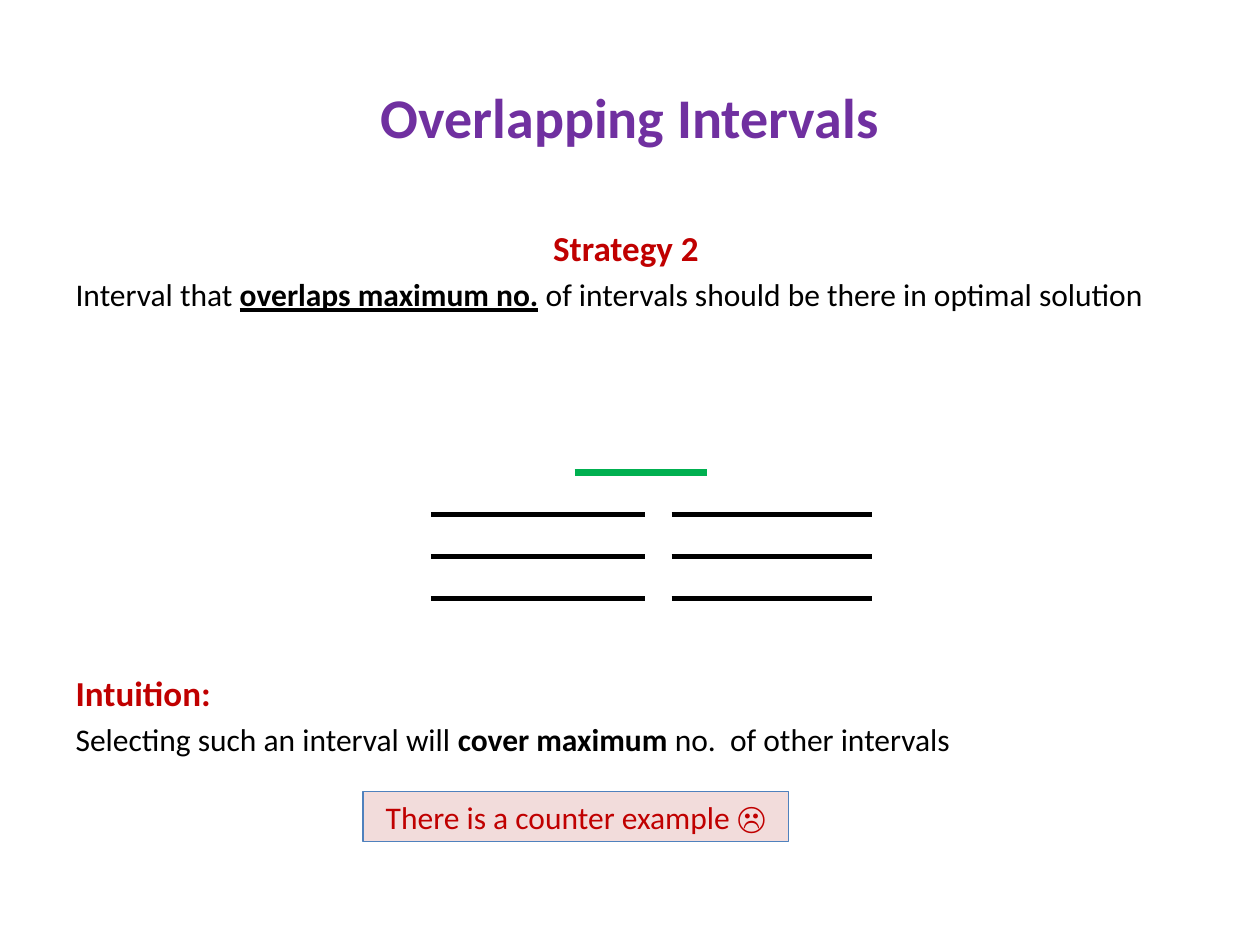
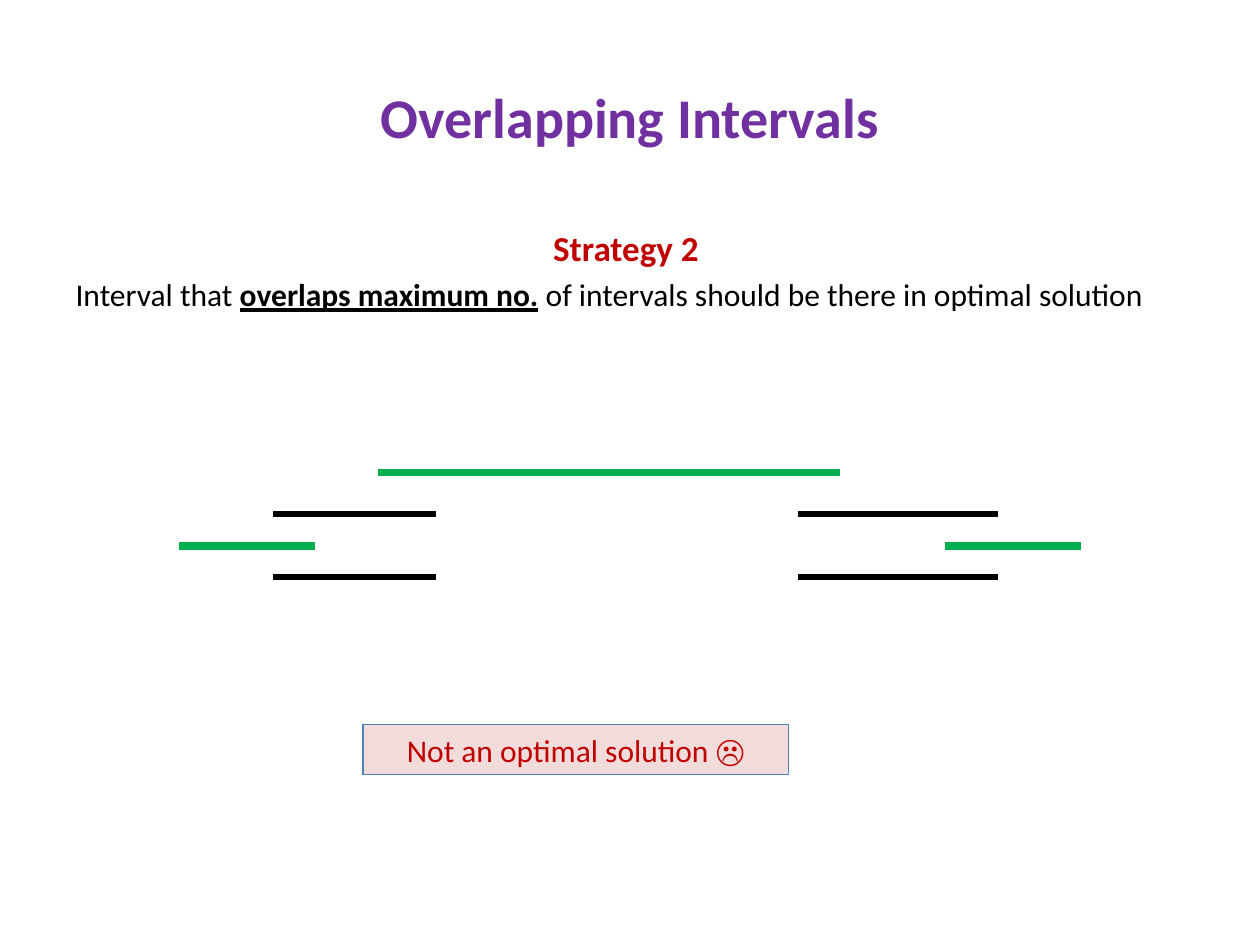
from pptx import Presentation
from pptx.dml.color import RGBColor
from pptx.enum.shapes import MSO_CONNECTOR as CONN, MSO_SHAPE as SHAPE
from pptx.enum.text import MSO_ANCHOR as ANCHOR, MSO_AUTO_SIZE as AUTO, PP_ALIGN as ALIGN
from pptx.oxml.ns import qn
from pptx.util import Inches, Pt
from lxml import etree

FONT = "Calibri"
PURPLE = RGBColor(0x70, 0x30, 0xA0)
RED = RGBColor(0xC0, 0x00, 0x00)
BLACK = RGBColor(0x00, 0x00, 0x00)
GREEN = RGBColor(0x00, 0xB0, 0x50)
PINK = RGBColor(0xF2, 0xDC, 0xDB)
BLUE = RGBColor(0x4F, 0x81, 0xBD)

TITLE_BOX = (0.5, 0.3, 9, 1.25)
BODY_BOX = (0.5, 1.75, 9, 4.95)
DIAGRAM_TOP = 3.75


def place(shape, box):
    shape.left, shape.top, shape.width, shape.height = map(Inches, box)


def add_run(p, text, size=18, color=BLACK, bold=False, underline=False):
    r = p.add_run()
    r.text = text
    f = r.font
    f.name, f.size, f.bold, f.underline = FONT, Pt(size), bold, underline
    f.color.rgb = color


def add_paragraph(tf, align=ALIGN.LEFT):
    """Start an unbulleted paragraph, using the empty first one if it is free."""
    first = tf.paragraphs[0]
    p = tf.add_paragraph() if first.runs else first
    p.alignment = align
    pPr = p._p.get_or_add_pPr()
    pPr.set("marL", "0")
    pPr.set("indent", "0")
    etree.SubElement(pPr, qn("a:buNone"))
    return p


def add_strategy_slide(prs):
    """Add the title and the strategy statement; return the slide and its body text."""
    s = prs.slides.add_slide(prs.slide_layouts[1])
    title, body = s.shapes.title, s.placeholders[1]
    place(title, TITLE_BOX)
    title.text_frame.vertical_anchor = ANCHOR.MIDDLE
    p = title.text_frame.paragraphs[0]
    p.alignment = ALIGN.CENTER
    add_run(p, "Overlapping Intervals", 32, PURPLE, bold=True)

    place(body, BODY_BOX)
    tf = body.text_frame
    tf.auto_size = AUTO.NONE
    add_run(add_paragraph(tf, ALIGN.CENTER), "Strategy 2 ", 20, RED, bold=True)
    p = add_paragraph(tf)
    add_run(p, "Interval that ")
    add_run(p, "overlaps maximum no.", bold=True, underline=True)
    add_run(p, " of intervals should be there in optimal solution")
    return s, tf


def add_intuition(tf):
    p = add_paragraph(tf)
    p.space_before = Pt(205)  # room for the interval diagram
    add_run(p, "Intuition:", 20, RED, bold=True)
    p = add_paragraph(tf)
    add_run(p, "Selecting such an interval will ")
    add_run(p, "cover maximum ", bold=True)
    add_run(p, "no.  of other intervals")


def add_interval(s, start, end, y, chosen=False):
    line = s.shapes.add_connector(
        CONN.STRAIGHT, Inches(start), Inches(y), Inches(end), Inches(y))
    line.line.color.rgb = GREEN if chosen else BLACK
    line.line.width = Pt(4.5 if chosen else 3)
    etree.SubElement(line._element.spPr, qn("a:effectLst"))


def add_stacked_intervals(s, top):
    """One chosen interval bridging two stacks of three."""
    add_interval(s, 4.56, 5.61, top, chosen=True)
    for row in range(1, 4):
        for start, end in ((3.42, 5.12), (5.33, 6.92)):
            add_interval(s, start, end, top + row / 3)


def add_counter_example(s, top):
    """Three disjoint chosen intervals, with two pairs that overlap them."""
    add_interval(s, 3, 6.67, top, chosen=True)
    first, gap = top + 0.33, 0.25
    for start, end in ((2.17, 3.46), (6.33, 7.92)):
        for y in (first, first + 2 * gap):
            add_interval(s, start, end, y)
    for start, end in ((1.42, 2.5), (7.5, 8.58)):
        add_interval(s, start, end, first + gap, chosen=True)


def add_verdict(s, top, text):
    box = s.shapes.add_shape(SHAPE.RECTANGLE, 0, 0, 0, 0)
    place(box, (2.88, top, 3.38, 0.4))
    box.shadow.inherit = False
    box.fill.solid()
    box.fill.fore_color.rgb = PINK
    box.line.color.rgb = BLUE
    box.line.width = Pt(0.75)
    tf = box.text_frame
    tf.word_wrap = True
    tf.vertical_anchor = ANCHOR.MIDDLE
    p = tf.paragraphs[0]
    p.alignment = ALIGN.CENTER
    add_run(p, text, color=RED)


def main():
    prs = Presentation()
    prs.slide_width, prs.slide_height = Inches(10), Inches(7.5)

    s, tf = add_strategy_slide(prs)
    add_intuition(tf)
    add_verdict(s, 6.28, "There is a counter example ☹")
    add_stacked_intervals(s, DIAGRAM_TOP)

    s, _ = add_strategy_slide(prs)
    add_counter_example(s, DIAGRAM_TOP)
    add_verdict(s, 5.75, "Not an optimal solution ☹")

    prs.save("out.pptx")


if __name__ == "__main__":
    main()
